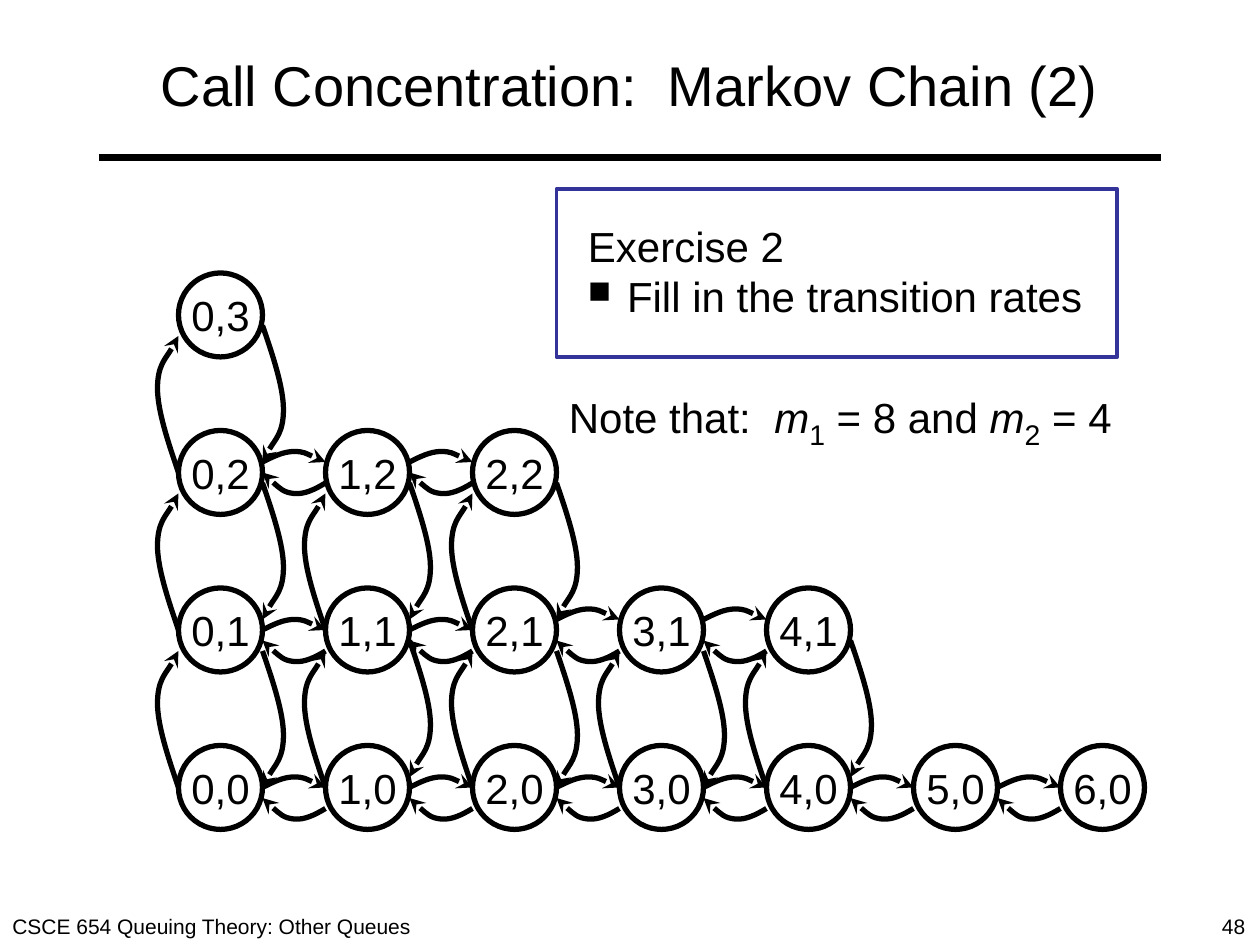
"""Build the Markov chain slide for the call concentration exercise."""
from dataclasses import dataclass

from lxml import etree
from pptx import Presentation
from pptx import util as u
from pptx.dml.color import RGBColor
from pptx.enum import shapes, text
from pptx.oxml.ns import qn

BLACK = RGBColor(0x00, 0x00, 0x00)
INDIGO = RGBColor(0x33, 0x33, 0x99)
FONT = "Arial"

COLUMNS, ROWS = 120, 90
SLIDE_WIDTH, SLIDE_HEIGHT = u.Inches(10), u.Inches(7.5)
CELL = SLIDE_WIDTH // COLUMNS

STATES_PER_ROW = (7, 5, 3, 1)
FIRST_LEFT, FIRST_TOP = 17, 71
STEP_RIGHT, STEP_UP = 14, 15
DIAMETER = 8
LOW_DROPS = {(0, 1), (2, 1), (3, 1)}
HIGH_ARRIVALS = {(2, 1), (3, 1), (0, 2), (1, 2)}

UP = ((-1, -2.9), (-2, -5.9), (-2, -8), (-2, -10.2), (-0.3, -12.1), (0, -13))
DOWN = tuple((-x, -y) for x, y in UP)
RIGHT = ((1, -0.5), (2, -1), (3, -1), (4, -1), (5.5, -0.2), (6, 0))
LEFT = ((-1, 0.6), (-2, 1.1), (-3, 1), (-4, 0.9), (-5, 0), (-6, -1))


@dataclass(frozen=True)
class Area:
    """A rectangle in grid columns and rows."""
    left: float
    top: float
    width: float
    height: float

    def lengths(self) -> list[u.Emu]:
        """Return the rectangle as slide lengths."""
        return [grid(n) for n in (self.left, self.top, self.width, self.height)]


@dataclass(frozen=True)
class State:
    """A chain state, named by its two call counts."""
    wide: int
    narrow: int

    @property
    def left(self) -> int:
        """Return the left column of the state's circle."""
        return FIRST_LEFT + STEP_RIGHT * self.wide

    @property
    def top(self) -> int:
        """Return the top row of the state's circle."""
        return FIRST_TOP - STEP_UP * self.narrow


@dataclass(frozen=True)
class Transition:
    """A curved arrow: its start and the Bézier points relative to it."""
    x: float
    y: float
    curve: tuple


def grid(cells: float) -> u.Emu:
    """Convert grid cells to a slide length."""
    return u.Emu(round(cells * CELL))


def write(para, words: str, *, size: float = 24, italic: bool = False,
          baseline: int = 0) -> None:
    """Add one formatted span to a paragraph."""
    span = para.add_run()
    span.text = words
    span.font.name, span.font.size = FONT, u.Pt(size)
    span.font.italic = italic
    span.font.color.rgb = BLACK
    if baseline:
        span.font._element.set("baseline", str(baseline * 1000))


def prepare(box, *, wrap: bool = False, align=text.PP_ALIGN.LEFT,
            anchor=text.MSO_ANCHOR.TOP, inset: tuple = (0.1, 0.05)):
    """Set up a text frame and return its first paragraph."""
    frame = box.text_frame
    frame.word_wrap, frame.vertical_anchor = wrap, anchor
    frame.margin_left = frame.margin_right = u.Inches(inset[0])
    frame.margin_top = frame.margin_bottom = u.Inches(inset[1])
    para = frame.paragraphs[0]
    para.alignment = align
    return para


def outline(shape, color: RGBColor = BLACK, weight: float = 3) -> None:
    """Give a shape a plain outline without fill or shadow."""
    shape.shadow.inherit = False
    shape.fill.background()
    shape.line.color.rgb, shape.line.width = color, u.Pt(weight)


def draw_text(page, area: Area, words: str, *, size: float = 24, **layout) -> None:
    """Draw a text box with one span."""
    box = page.shapes.add_textbox(*area.lengths())
    write(prepare(box, **layout), words, size=size)


def draw_rule(page) -> None:
    """Draw the heavy rule below the title."""
    rule = page.shapes.add_connector(
        shapes.MSO_CONNECTOR.STRAIGHT, grid(9.4), grid(15), grid(110.6), grid(15))
    rule.line.color.rgb, rule.line.width = BLACK, u.Pt(4.5)
    etree.SubElement(rule._element.spPr, qn("a:effectLst"))


def draw_transition(page, move: Transition) -> None:
    """Draw a transition as two joined Bézier curves with an arrowhead."""
    points = [(grid(move.x + x), grid(move.y + y)) for x, y in move.curve]
    builder = page.shapes.build_freeform(grid(move.x), grid(move.y), scale=1.0)
    arc = builder.add_line_segments(points, close=False).convert_to_shape()
    outline(arc)
    segments = arc._element.xpath(".//a:lnTo")
    for first in range(0, len(segments), 3):
        bezier = etree.SubElement(segments[first].getparent(), qn("a:cubicBezTo"))
        for segment in segments[first:first + 3]:
            bezier.append(segment[0])
            segment.getparent().remove(segment)
    etree.SubElement(arc.get_or_add_ln(), qn("a:tailEnd"), type="stealth")


def transitions_from(state: State) -> list[Transition]:
    """List the moves between a state and its right and upper neighbours."""
    i, j = state.wide, state.narrow
    edge = state.left + DIAMETER
    moves = []
    if i + 1 < STATES_PER_ROW[j]:
        rise = 3 if (i, j) in HIGH_ARRIVALS else 4
        back = 5 if j == 2 else 6
        moves += [Transition(edge, state.top + rise, RIGHT),
                  Transition(state.left + STEP_RIGHT, state.top + back, LEFT)]
    if j + 1 < len(STATES_PER_ROW) and i < STATES_PER_ROW[j + 1]:
        upper = State(i, j + 1)
        drop = 6 if (i, j + 1) in LOW_DROPS else 5
        moves += [Transition(state.left, state.top + 4, UP),
                  Transition(edge, upper.top + drop, DOWN)]
    return moves


def draw_state(page, state: State) -> None:
    """Draw a state as a labelled circle."""
    area = Area(state.left, state.top, DIAMETER, DIAMETER)
    circle = page.shapes.add_shape(shapes.MSO_SHAPE.OVAL, *area.lengths())
    outline(circle)
    para = prepare(circle, align=text.PP_ALIGN.CENTER,
                   anchor=text.MSO_ANCHOR.MIDDLE, inset=(0, 0))
    write(para, f"{state.wide},{state.narrow}")


def draw_exercise(page) -> None:
    """Draw the framed exercise with its bullet."""
    area = Area(53, 18, 53.4, 16)
    box = page.shapes.add_shape(shapes.MSO_SHAPE.RECTANGLE, *area.lengths())
    outline(box, INDIGO, 2.25)
    heading = prepare(box, inset=(0.25, 0.25))
    task = box.text_frame.add_paragraph()
    task.alignment = text.PP_ALIGN.LEFT
    write(heading, "Exercise 2")
    write(task, "Fill in the transition rates")
    for para in (heading, task):
        layout = para._p.get_or_add_pPr()
        layout.set("marL", str(u.Inches(0.31)))
        layout.set("indent", str(-u.Inches(0.31)))
    etree.SubElement(task._p.pPr, qn("a:buSzPct"), val="75000")
    etree.SubElement(task._p.pPr, qn("a:buChar"), char="■")


def draw_note(page) -> None:
    """Draw the note with the two group sizes."""
    box = page.shapes.add_textbox(*Area(53, 36, 54.6, 6).lengths())
    para = prepare(box)
    for lead, index in (("Note that:  ", "1"), (" = 8 and ", "2")):
        write(para, lead)
        write(para, "m", italic=True)
        write(para, index, size=28, baseline=-25)
    write(para, " = 4")


def main() -> None:
    """Build and save the deck."""
    deck = Presentation()
    deck.slide_width, deck.slide_height = SLIDE_WIDTH, SLIDE_HEIGHT
    page = deck.slides.add_slide(deck.slide_layouts[6])
    draw_rule(page)
    draw_text(page, Area(0, 86.4, 49, 3.6), "CSCE 654 Queuing Theory: Other Queues",
              size=12, wrap=True)
    draw_text(page, Area(115.2, 86.4, 4.8, 3.6), "48", size=12)
    draw_text(page, Area(6, 2, 108, 12), "Call Concentration:  Markov Chain (2)", size=32,
              wrap=True, align=text.PP_ALIGN.CENTER, anchor=text.MSO_ANCHOR.MIDDLE)
    states = [State(i, j) for j, count in enumerate(STATES_PER_ROW) for i in range(count)]
    for state in states:
        for move in transitions_from(state):
            draw_transition(page, move)
    for state in states:
        draw_state(page, state)
    draw_exercise(page)
    draw_note(page)
    deck.save("out.pptx")


if __name__ == "__main__":
    main()
